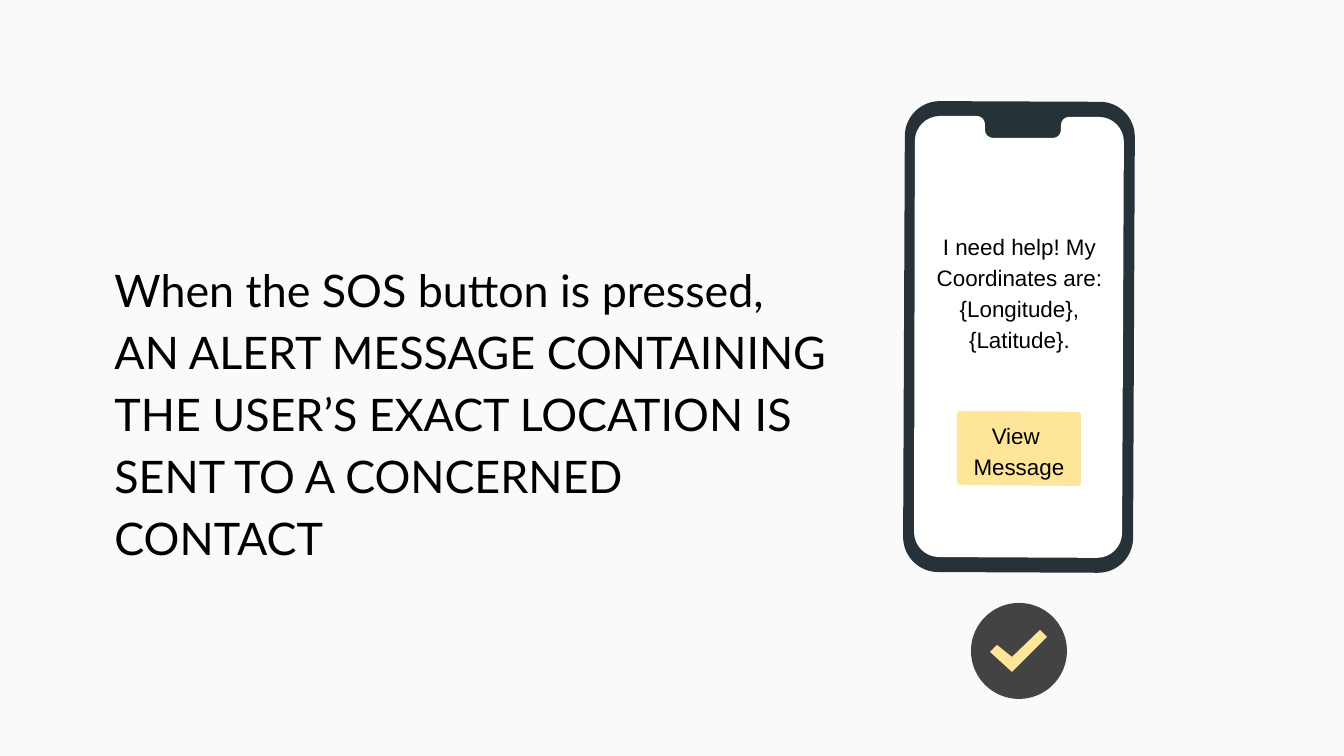
from math import dist

from lxml import etree
from pptx import Presentation
from pptx.dml.color import RGBColor
from pptx.enum.shapes import MSO_SHAPE
from pptx.enum.text import MSO_ANCHOR, MSO_AUTO_SIZE, PP_ALIGN
from pptx.oxml.ns import qn
from pptx.util import Inches, Pt

OVAL = MSO_SHAPE.OVAL
LEFT, CENTER = PP_ALIGN.LEFT, PP_ALIGN.CENTER
TOP, MIDDLE = MSO_ANCHOR.TOP, MSO_ANCHOR.MIDDLE
NO_AUTOFIT = MSO_AUTO_SIZE.NONE
TITLE_ONLY = 5

EMU_PER_PX = 914400 / 134.4
SLIDE_SIZE = (1344, 756)
BACKGROUND, BLACK, DARK = "FAFAFA", "000000", "263238"
WHITE, YELLOW, GREY = "FFFFFF", "FFE599", "434343"

TITLE = ("When the SOS button is pressed, AN ALERT MESSAGE CONTAINING "
         "THE USER’S EXACT LOCATION IS SENT TO A CONCERNED CONTACT")
TITLE_BOX = (101, 275, 745, 269)

PHONE_TEXTS = [
    (["I need help! My Coordinates are: {Longitude}, {Latitude}."], (914, 216, 211, 144)),
    (["View ", "Message"], (931, 405, 176, 52)),
]

# Corners are (x, y, rounding radius), clockwise from top left.
PHONE_BODY = [(905, 101, 35), (1135, 102, 35), (1133, 573, 35), (903, 572, 35)]
PHONE_SCREEN = [
    (915, 116, 25), (985, 116, 8), (985, 138, 8), (1061, 138, 8), (1061, 117, 8),
    (1124, 117, 25), (1122, 558, 25), (914, 557, 25),
]
BUTTON = [(957, 411, 3), (1081, 412, 3), (1081, 486, 3), (957, 485, 3)]
CHECK_CIRCLE = (971, 603, 96, 96)
CHECK_MARK = [(1040, 630, 0), (1012, 657, 0), (997, 645, 0),
              (990, 652, 0), (1012, 672, 0), (1047, 637, 0)]
ARC_FACTOR = 0.55


def px(length):
    return round(length * EMU_PER_PX)


def color(hex_string):
    return RGBColor.from_string(hex_string)


def paint(shape, fill):
    shape.shadow.inherit = False
    shape.fill.solid()
    shape.fill.fore_color.rgb = color(fill)
    shape.line.fill.background()


def between(start, end, share):
    return tuple(a + (b - a) * share for a, b in zip(start, end))


def corner_stops(corners):
    """List (point, corner to curve around or None) for every stop of an outline."""
    stops = []
    for index, (x, y, radius) in enumerate(corners):
        corner = (x, y)
        if not radius:
            stops.append((corner, None))
            continue
        before = corners[index - 1][:2]
        after = corners[(index + 1) % len(corners)][:2]
        stops.append((between(corner, before, radius / dist(corner, before)), None))
        stops.append((between(corner, after, radius / dist(corner, after)), corner))
    return stops


def curve_line(line, start, corner):
    """Turn a straight path segment into a cubic curve that rounds the corner."""
    end_point = line[0]
    end = (int(end_point.get("x")), int(end_point.get("y")))
    line.tag = qn("a:cubicBezTo")
    for position, point in enumerate((start, end)):
        x, y = between(point, corner, ARC_FACTOR)
        control = etree.Element(qn("a:pt"), x=str(round(x)), y=str(round(y)))
        line.insert(position, control)


def add_outline(slide, corners, fill):
    stops = corner_stops(corners)
    points = [(px(x), px(y)) for (x, y), _ in stops]
    builder = slide.shapes.build_freeform(*points[0], scale=1.0)
    builder.add_line_segments(points[1:], close=True)
    shape = builder.convert_to_shape()
    paint(shape, fill)
    lines = list(shape.element.iter(qn("a:lnTo")))
    for line, start, (_, corner) in zip(lines, points, stops[1:]):
        if corner:
            local_start = (start[0] - shape.left, start[1] - shape.top)
            local_corner = (px(corner[0]) - shape.left, px(corner[1]) - shape.top)
            curve_line(line, local_start, local_corner)


def write_text(shape, lines, font, size, align=LEFT, anchor=TOP, gap=0):
    frame = shape.text_frame
    frame.word_wrap = True
    frame.auto_size = NO_AUTOFIT
    frame.vertical_anchor = anchor
    frame.margin_left = frame.margin_right = Inches(0.1)
    frame.margin_top = frame.margin_bottom = Inches(0.1)
    for index, line in enumerate(lines):
        paragraph = frame.add_paragraph() if index else frame.paragraphs[0]
        paragraph.alignment = align
        paragraph.line_spacing = 1.15
        paragraph.space_before = paragraph.space_after = Pt(gap)
        run = paragraph.add_run()
        run.text = line
        run.font.name = font
        run.font.size = Pt(size)
        run.font.color.rgb = color(BLACK)


def main():
    presentation = Presentation()
    presentation.slide_width, presentation.slide_height = map(px, SLIDE_SIZE)
    slide = presentation.slides.add_slide(presentation.slide_layouts[TITLE_ONLY])
    slide.background.fill.solid()
    slide.background.fill.fore_color.rgb = color(BACKGROUND)

    title = slide.shapes.title
    title.left, title.top, title.width, title.height = map(px, TITLE_BOX)
    write_text(title, [TITLE], "Lato", 24, anchor=MIDDLE, gap=12)

    for corners, fill in ((PHONE_BODY, DARK), (PHONE_SCREEN, WHITE), (BUTTON, YELLOW)):
        add_outline(slide, corners, fill)
    for lines, box in PHONE_TEXTS:
        text_box = slide.shapes.add_textbox(*map(px, box))
        write_text(text_box, lines, "Arial", 12, align=CENTER)

    paint(slide.shapes.add_shape(OVAL, *map(px, CHECK_CIRCLE)), GREY)
    add_outline(slide, CHECK_MARK, YELLOW)

    presentation.save("out.pptx")


if __name__ == "__main__":
    main()
